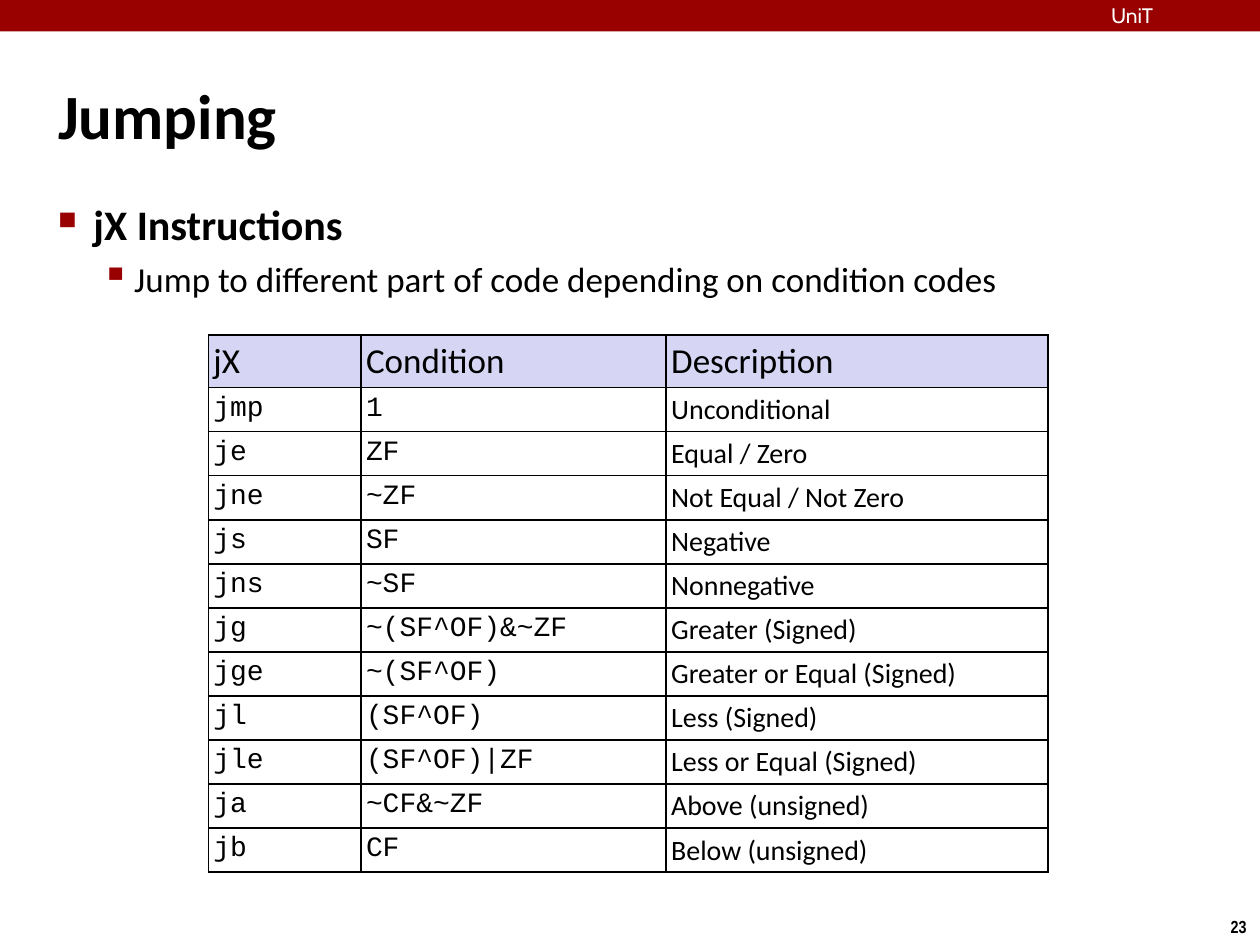
"""Build a slide on conditional jump instructions with a table of condition codes."""
import lxml.etree
import pptx
import pptx.dml.color
import pptx.enum.shapes
import pptx.enum.text
import pptx.oxml.ns
import pptx.util

Pt = pptx.util.Pt
RGBColor = pptx.dml.color.RGBColor
ALIGN = pptx.enum.text.PP_ALIGN
ANCHOR = pptx.enum.text.MSO_ANCHOR
qn = pptx.oxml.ns.qn

RED = RGBColor(0x99, 0x00, 0x00)
BLACK = RGBColor(0x00, 0x00, 0x00)
WHITE = RGBColor(0xFF, 0xFF, 0xFF)
LAVENDER = RGBColor(0xD6, 0xD6, 0xF4)

SANS, MONO = "Calibri", "Courier New"
INSET = 3
COLUMN_WIDTHS = (87.2, 174.4, 218.2)
HEADER_HEIGHT, ROW_HEIGHT = 29.6, 24.6
HEADINGS = ("jX", "Condition", "Description")
JUMPS = (
    ("jmp", "1", "Unconditional"),
    ("je", "ZF", "Equal / Zero"),
    ("jne", "~ZF", "Not Equal / Not Zero"),
    ("js", "SF", "Negative"),
    ("jns", "~SF", "Nonnegative"),
    ("jg", "~(SF^OF)&~ZF", "Greater (Signed)"),
    ("jge", "~(SF^OF)", "Greater or Equal (Signed)"),
    ("jl", "(SF^OF)", "Less (Signed)"),
    ("jle", "(SF^OF)|ZF", "Less or Equal (Signed)"),
    ("ja", "~CF&~ZF", "Above (unsigned)"),
    ("jb", "CF", "Below (unsigned)"),
)


def assign(target, values):
    for name, value in values.items():
        setattr(target, name, value)


def add_child(parent, tag, **attributes):
    return lxml.etree.SubElement(parent, qn(tag), attributes)


class SlideBuilder:
    def __init__(self, page):
        self.page = page

    def add_text(self, para, text, size, font=SANS, color=BLACK, bold=False):
        span = para.add_run()
        span.text = text
        assign(span.font, {"name": font, "size": Pt(size), "bold": bold})
        span.font.color.rgb = color

    def bar(self, left, top, width, height, color):
        bar = self.page.shapes.add_shape(
            pptx.enum.shapes.MSO_SHAPE.RECTANGLE, *map(Pt, (left, top, width, height)))
        bar.shadow.inherit = False
        bar.fill.solid()
        bar.fill.fore_color.rgb = color
        bar.line.fill.background()

    def text_box(self, left, top, width, height, inset=INSET, **frame_format):
        box = self.page.shapes.add_textbox(*map(Pt, (left, top, width, height)))
        margins = {f"margin_{side}": Pt(inset) for side in ("left", "top", "right", "bottom")}
        assign(box.text_frame, {"word_wrap": True, **margins, **frame_format})
        return box.text_frame

    def indent(self, para, margin, hanging):
        properties = para._p.get_or_add_pPr()
        properties.set("marL", str(Pt(margin)))
        properties.set("indent", str(-Pt(hanging)))
        return properties

    def bullet(self, para, symbol, percent, margin, hanging, space):
        para.space_before = Pt(space)
        properties = self.indent(para, margin, hanging)
        add_child(add_child(properties, "a:buClr"), "a:srgbClr", val=str(RED))
        add_child(properties, "a:buSzPct", val=str(percent * 1000))
        add_child(properties, "a:buChar", char=symbol)

    def cell(self, cell, text, size, font, fill=None):
        assign(cell, {f"margin_{side}": Pt(INSET) for side in ("left", "top", "right", "bottom")})
        self.add_text(cell.text_frame.paragraphs[0], text, size, font)
        properties = cell._tc.get_or_add_tcPr()
        for tag in ("a:lnL", "a:lnR", "a:lnT", "a:lnB"):
            line = add_child(properties, tag, w=str(Pt(1)))
            add_child(add_child(line, "a:solidFill"), "a:srgbClr", val=str(BLACK))
        if fill is None:
            cell.fill.background()
        else:
            cell.fill.solid()
            cell.fill.fore_color.rgb = fill

    def table(self, left, top, headings, records):
        height = HEADER_HEIGHT + ROW_HEIGHT * len(records)
        table = self.page.shapes.add_table(
            len(records) + 1, len(headings),
            *map(Pt, (left, top, sum(COLUMN_WIDTHS), height))).table
        assign(table, {"first_row": False, "horz_banding": False})
        for column, width in zip(table.columns, COLUMN_WIDTHS):
            column.width = Pt(width)
        for index, record in enumerate((headings, *records)):
            table.rows[index].height = Pt(ROW_HEIGHT if index else HEADER_HEIGHT)
            for position, text in enumerate(record):
                if index == 0:
                    style = {"size": 20, "font": SANS, "fill": LAVENDER}
                else:
                    style = {"size": 16, "font": SANS if position == 2 else MONO}
                self.cell(table.cell(index, position), text, **style)


def main():
    deck = pptx.Presentation()
    assign(deck, {"slide_width": Pt(720), "slide_height": Pt(540)})
    builder = SlideBuilder(deck.slides.add_slide(deck.slide_layouts[6]))

    number = builder.text_box(695.5, 519.8, 24.5, 19.4, word_wrap=False,
                              margin_left=Pt(7.2), margin_right=Pt(7.2),
                              margin_top=Pt(3.6), margin_bottom=Pt(3.6)).paragraphs[0]
    number.alignment = ALIGN.CENTER
    builder.add_text(number, "23", 10, "Arial Narrow", bold=True)

    builder.bar(0, 0, 720, 18, RED)
    school = builder.text_box(635, 1.6, 103.7, 13.7, inset=0).paragraphs[0]
    builder.add_text(school, "UniT", 12, "Cabin", WHITE)

    title = builder.text_box(30.2, 20.2, 660, 90, vertical_anchor=ANCHOR.MIDDLE).paragraphs[0]
    builder.indent(title, 9.4, 9.4)
    builder.add_text(title, "Jumping", 36, bold=True)

    body = builder.text_box(30.2, 110.2, 660, 67.7)
    topic, detail = body.paragraphs[0], body.add_paragraph()
    builder.bullet(topic, "■", 60, margin=20.2, hanging=20.2, space=6)
    builder.add_text(topic, "jX Instructions", 24, bold=True)
    detail.level = 1
    builder.bullet(detail, "▪", 110, margin=43.5, hanging=18.7, space=5)
    builder.add_text(detail, "Jump to different part of code depending on condition codes", 20)

    builder.table(119, 191.5, HEADINGS, JUMPS)
    deck.save("out.pptx")


if __name__ == "__main__":
    main()
